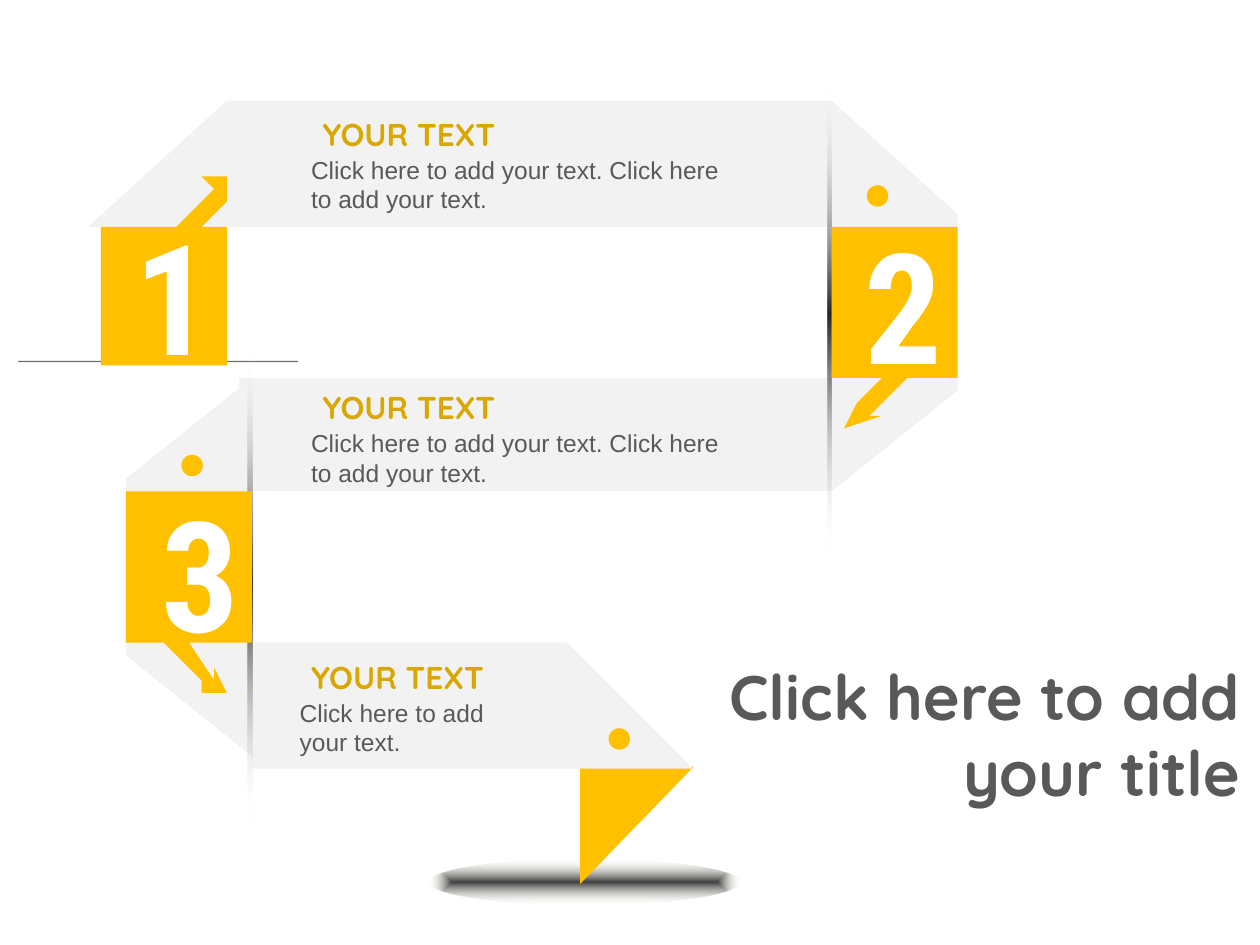
from lxml import etree
from pptx import Presentation
from pptx.dml.color import RGBColor
from pptx.enum.shapes import MSO_SHAPE
from pptx.enum.text import MSO_ANCHOR, MSO_AUTO_SIZE, PP_ALIGN
from pptx.oxml.ns import nsdecls, qn
from pptx.util import Inches, Pt

OVAL, RECT, TRIANGLE = MSO_SHAPE.OVAL, MSO_SHAPE.RECTANGLE, MSO_SHAPE.RIGHT_TRIANGLE
LEFT, CENTER, RIGHT = PP_ALIGN.LEFT, PP_ALIGN.CENTER, PP_ALIGN.RIGHT
TOP = MSO_ANCHOR.TOP
GROW, FIXED = MSO_AUTO_SIZE.SHAPE_TO_FIT_TEXT, MSO_AUTO_SIZE.NONE

COLUMNS, ROWS = 100, 75
CELL = Inches(0.1)
TITLE_ONLY = 5
GOLD, DARK_GOLD, PAPER, GREY, WHITE = "FFC000", "DAA600", "F2F2F2", "595959", "FFFFFF"
DOT = 1.7
CREASE_STOPS = [(2, WHITE, 0), (50, "262626", 100), (100, WHITE, 0)]
SHADOW_STOPS = [(0, "404040", 100), (100, "EEECE1", 0)]
ACROSS = '<a:lin ang="0" scaled="0"/>'
DOWN = '<a:lin ang="5400000" scaled="0"/>'
FROM_CENTER = '<a:path path="shape"><a:fillToRect l="50000" t="50000" r="50000" b="50000"/></a:path>'


def cells(*counts):
    return [int(count * CELL) for count in counts]


def color(value):
    return RGBColor.from_string(value)


def paint(shape, fill):
    shape.shadow.inherit = False
    shape.line.fill.background()
    shape.fill.solid()
    shape.fill.fore_color.rgb = color(fill)
    return shape


def fade(shape, stops, direction):
    marks = "".join(
        f'<a:gs pos="{place * 1000}"><a:srgbClr val="{tone}">'
        f'<a:alpha val="{opacity * 1000}"/></a:srgbClr></a:gs>'
        for place, tone, opacity in stops)
    gradient = etree.fromstring(
        f'<a:gradFill {nsdecls("a")} rotWithShape="1"><a:gsLst>{marks}</a:gsLst>{direction}</a:gradFill>')
    properties = shape._element.spPr
    properties.replace(properties.find(qn("a:solidFill")), gradient)


def add_preset(slide, kind, box, fill=GOLD, rotation=0):
    shape = paint(slide.shapes.add_shape(kind, *cells(*box)), fill)
    shape.rotation = rotation
    return shape


def add_outline(slide, points, fill=PAPER):
    builder = slide.shapes.build_freeform(*points[0], scale=CELL)
    builder.add_line_segments(points[1:], close=True)
    paint(builder.convert_to_shape(), fill)


def add_crease(slide, box, direction):
    fade(add_preset(slide, RECT, box), CREASE_STOPS, direction)


def write(holder, text, size, font="Quicksand", tone=GREY, bold=True,
          align=LEFT, spacing=None, fit=GROW):
    frame = holder.text_frame
    frame.word_wrap = True
    frame.auto_size = fit
    frame.vertical_anchor = TOP
    paragraph = frame.paragraphs[0]
    paragraph.alignment = align
    paragraph.line_spacing = spacing
    run = paragraph.add_run()
    run.text = text
    run.font.size = Pt(size)
    run.font.name = font
    run.font.bold = bold
    run.font.color.rgb = color(tone)


def add_text(slide, box, text, size, **style):
    write(slide.shapes.add_textbox(*cells(*box)), text, size, **style)


def add_number(slide, left, top, number):
    add_text(slide, (left, top, 5.6, 15.8), number, 88,
             font="Roboto Condensed", tone=WHITE, align=CENTER)


def add_caption(slide, left, top, width, text):
    add_text(slide, (left, top, 19.9, 3.4), "YOUR TEXT", 18,
             tone=DARK_GOLD, align=CENTER, spacing=0.8)
    add_text(slide, (left + 1.2, top + 2.6, width, 5.7), text, 14,
             font="Arial", bold=False)


def add_title(slide, box, text):
    title = slide.shapes.title
    title.left, title.top, title.width, title.height = cells(*box)
    write(title, text, 36, align=RIGHT, fit=FIXED)


def add_ribbon(slide):
    add_preset(slide, TRIANGLE, (45.9, 61, 9.3, 9), rotation=90)
    add_outline(slide, [(19.8, 51.3), (44.8, 51.3), (55.2, 61), (19.8, 61)])
    add_crease(slide, (1.5, 28.6, 22.1, 0.2), DOWN)
    add_outline(slide, [(18.5, 8.1), (65.6, 8.1), (65.6, 17.8), (7.3, 17.8)])
    add_outline(slide, [(19.3, 29.6), (65.6, 29.6), (65.6, 39.3), (19.3, 39.3)])
    add_outline(slide, [(65.6, 8.4), (75.8, 17), (75.8, 30.7), (65.6, 39.2)])
    add_crease(slide, (65.65, 5.9, 0.35, 38), DOWN)
    add_outline(slide, [(20.1, 29.7), (9.8, 38.2), (9.8, 51.9), (20.1, 60.5)])
    add_crease(slide, (19.65, 27.2, 0.35, 38), DOWN)


def add_arrow_tiles(slide):
    add_outline(slide, [
        (9.8, 39.3), (19.6, 39.3), (19.6, 51.3), (14.7, 51.3), (16.9, 53.7), (17.4, 53.4),
        (17.7, 55.4), (15.7, 54.9), (16.1, 54.5), (13.2, 51.3), (9.8, 51.3)], GOLD)
    add_outline(slide, [
        (18.5, 13.9), (18.1, 15.9), (17.7, 15.6), (15.8, 17.6), (17.7, 17.6), (17.7, 28.7),
        (7.5, 28.7), (7.5, 17.6), (14.3, 17.6), (16.8, 14.8), (16.4, 14.4)], GOLD)
    add_outline(slide, [
        (66, 18), (75.8, 18), (75.8, 30), (71.6, 30), (69.1, 32.8), (69.5, 33.2),
        (67.4, 33.8), (67.8, 31.7), (68.2, 32.1), (70.1, 30), (66, 30)], GOLD)


def main():
    deck = Presentation()
    deck.slide_width, deck.slide_height = cells(COLUMNS, ROWS)
    slide = deck.slides.add_slide(deck.slide_layouts[TITLE_ONLY])

    ground_shadow = add_preset(slide, OVAL, (34.1, 68.2, 24.6, 3.6))
    fade(ground_shadow, SHADOW_STOPS, FROM_CENTER)
    add_preset(slide, OVAL, (13, 13.9, DOT, DOT))
    add_ribbon(slide)
    add_arrow_tiles(slide)

    for left, top, number in [(9.7, 15.5, "1"), (67.6, 16.2, "2"), (11.8, 37.5, "3")]:
        add_number(slide, left, top, number)
    for left, top in [(68.8, 14.7), (14.4, 36.1), (48.3, 57.8)]:
        add_preset(slide, OVAL, (left, top, DOT, DOT))

    sentence = "Click here to add your text."
    for left, top, width, text in [
            (22.5, 9.2, 35.5, f"{sentence} {sentence}"),
            (22.5, 30.9, 35.5, f"{sentence} {sentence}"),
            (21.6, 52.3, 19.7, sentence)]:
        add_caption(slide, left, top, width, text)
    add_title(slide, (49.2, 51.7, 50.2, 13.1), "Click here to add your title")

    deck.save("out.pptx")


if __name__ == "__main__":
    main()
